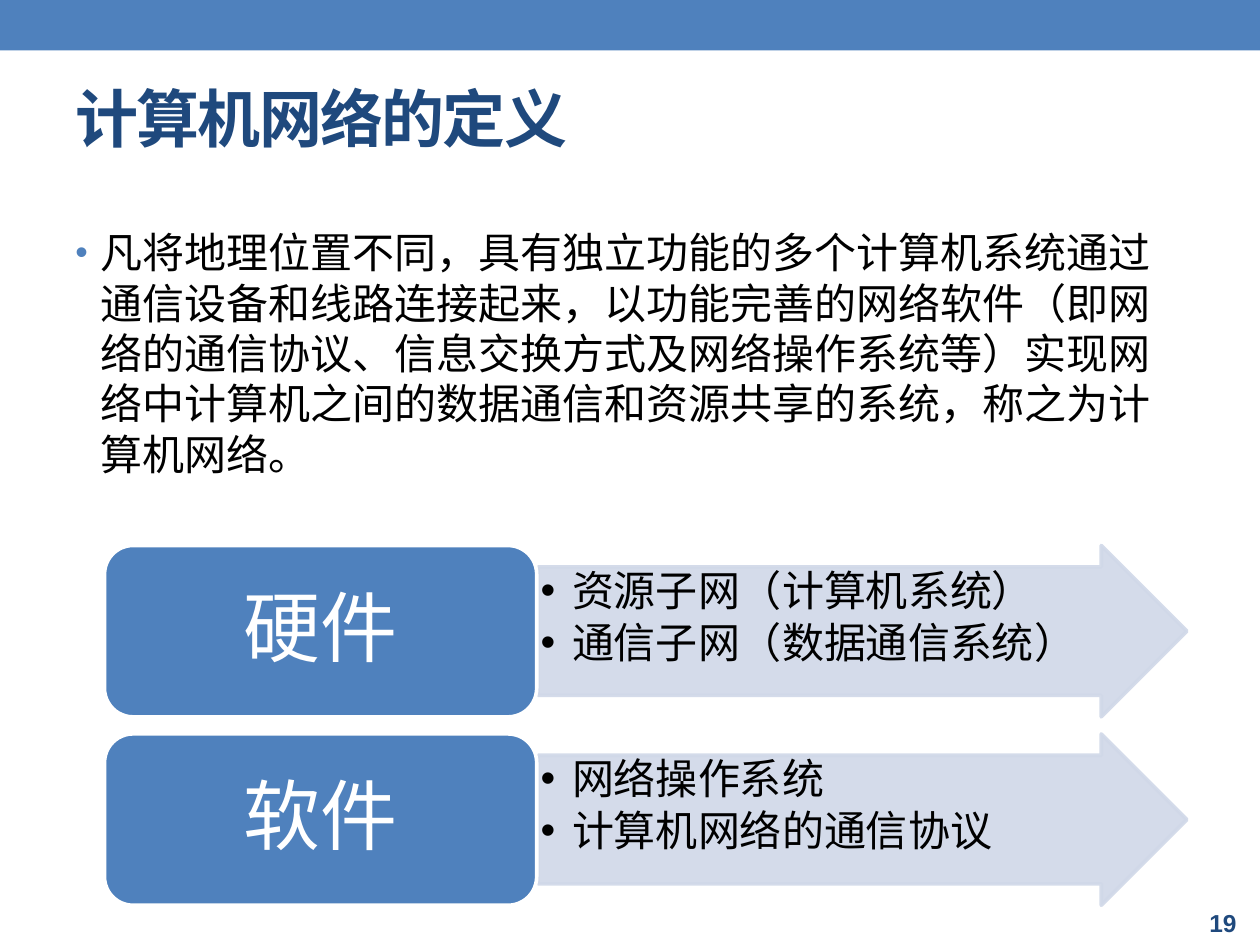
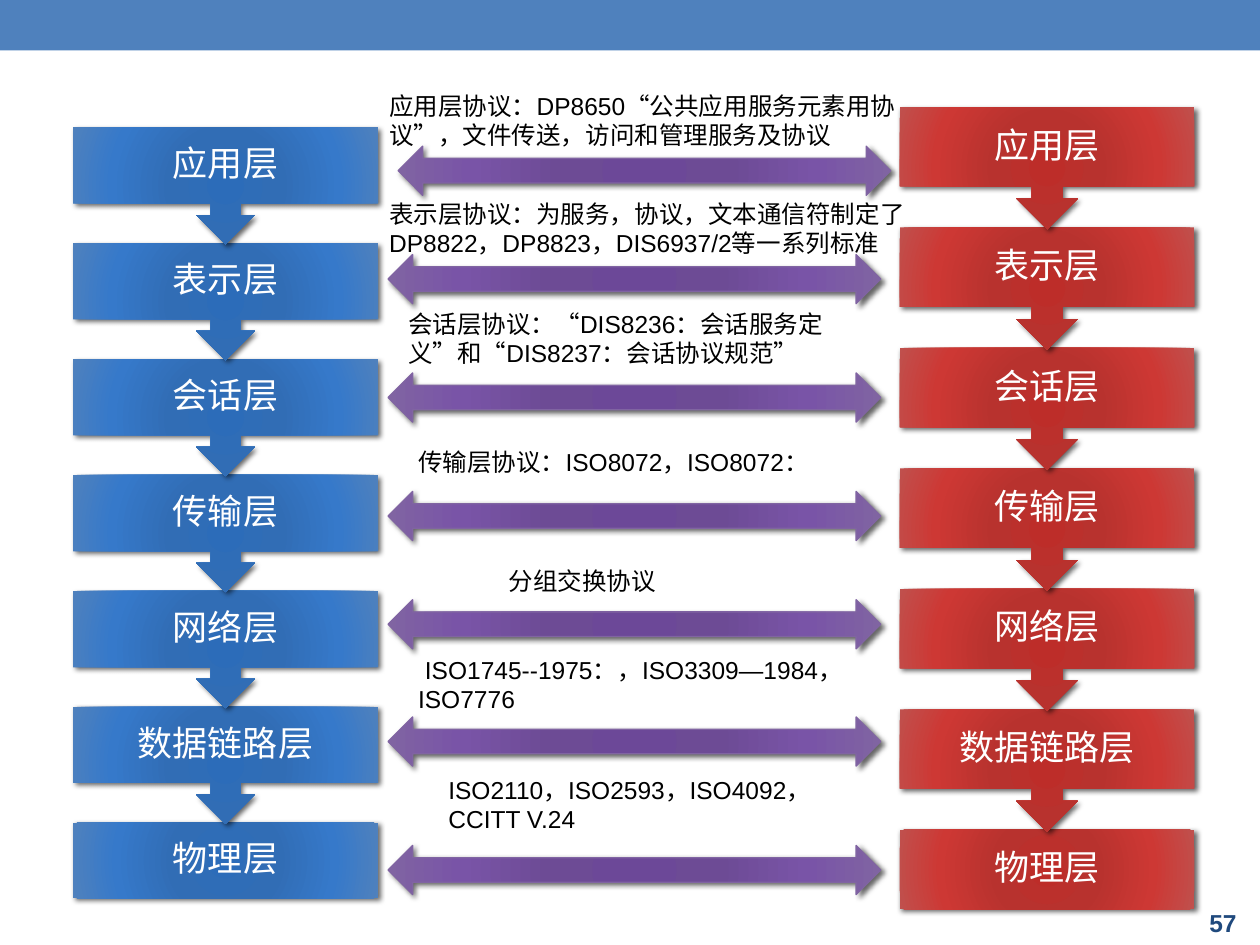
from lxml import etree
from pptx import Presentation
from pptx.dml.color import RGBColor
from pptx.enum import shapes, text
from pptx.oxml import ns
from pptx.util import Emu, Inches, Pt

BLUE = RGBColor(0x4F, 0x81, 0xBD)
NAVY = RGBColor(0x1F, 0x49, 0x7D)
PALE = RGBColor(0xD0, 0xD8, 0xE8)
PURPLE = RGBColor(0x80, 0x64, 0xA2)
WHITE = RGBColor(0xFF, 0xFF, 0xFF)
BLACK = RGBColor(0x00, 0x00, 0x00)

STOPS = (0, 34, 70, 100)
BLUE_GRADIENT = ("2C6CB9", "316DB5", "3679CA", "4F81BD")
RED_GRADIENT = ("BD2D29", "B8322E", "CD3834", "C0504D")
PURPLE_GRADIENT = ("6C4898", "6D4B95", "7954A7", "8064A2")

LATIN, CJK = "Arial", "Noto Sans CJK SC"
MIDDLE, TOP = text.MSO_ANCHOR.MIDDLE, text.MSO_ANCHOR.TOP
CENTER, LEFT = text.PP_ALIGN.CENTER, text.PP_ALIGN.LEFT
KIND = shapes.MSO_SHAPE

presentation = Presentation()
presentation.slide_width, presentation.slide_height = Inches(10), Inches(7.5)

# Grid: 100 columns by 75 rows
COLUMN = presentation.slide_width / 100
ROW = presentation.slide_height / 75


def add_box(slide, kind, box, fill=None, gradient=None, line=None, line_width=0.75):
    """Add a shape (or a text box if kind is None) at a place on the grid."""
    left, top, width, height = box
    place = [Emu(round(n)) for n in
             (left * COLUMN, top * ROW, width * COLUMN, height * ROW)]
    if kind is None:
        return slide.shapes.add_textbox(*place)
    shape = slide.shapes.add_shape(kind, *place)
    shape.shadow.inherit = False
    if line is None:
        shape.line.fill.background()
    else:
        shape.line.color.rgb = line
        shape.line.width = Pt(line_width)
    if fill is not None:
        shape.fill.solid()
        shape.fill.fore_color.rgb = fill
    if gradient:
        shape.fill.background()
        properties = shape._element.spPr
        stops = "".join(f'<a:gs pos="{stop * 1000}"><a:srgbClr val="{color}"/></a:gs>'
                        for stop, color in zip(STOPS, gradient))
        properties.replace(properties.find(ns.qn("a:noFill")), etree.fromstring(
            f'<a:gradFill {ns.nsdecls("a")} rotWithShape="1"><a:gsLst>{stops}</a:gsLst>'
            '<a:path path="circle"><a:fillToRect l="100000" t="100000" r="100000" '
            'b="100000"/></a:path></a:gradFill>'))
        properties.find(ns.qn("a:effectLst")).append(etree.fromstring(
            f'<a:outerShdw {ns.nsdecls("a")} blurRad="38100" dist="25400" dir="2700000" '
            'rotWithShape="0"><a:srgbClr val="000000"><a:alpha val="60000"/>'
            '</a:srgbClr></a:outerShdw>'))
    return shape


def write(shape, lines, size, color, font=LATIN, bold=False, align=LEFT, anchor=TOP,
          inset=(0.1, 0.05), spacing=None, after=0, bullet=None, wrap=True, tracking=0):
    """Write one paragraph per line; bullet is (indent, color, size in percent)."""
    frame = shape.text_frame
    across, down = (Inches(n) for n in inset)
    settings = {"word_wrap": wrap, "vertical_anchor": anchor, "margin_left": across,
                "margin_right": across, "margin_top": down, "margin_bottom": down}
    for name, value in settings.items():
        setattr(frame, name, value)
    for index, line in enumerate(lines):
        paragraph = frame.paragraphs[0] if index == 0 else frame.add_paragraph()
        paragraph.alignment = align
        paragraph.line_spacing = spacing or Pt(round(size * 1.2, 1))
        paragraph.space_after = Pt(after)
        if bullet:
            indent, bullet_color, bullet_size = bullet
            properties = paragraph._p.get_or_add_pPr()
            properties.set("marL", str(Inches(indent)))
            properties.set("indent", str(-Inches(indent)))
            for xml in (f'<a:buClr {{}}><a:srgbClr val="{bullet_color}"/></a:buClr>',
                        f'<a:buSzPct {{}} val="{bullet_size * 1000}"/>',
                        '<a:buFont {} typeface="Arial"/>', '<a:buChar {} char="•"/>'):
                properties.append(etree.fromstring(xml.format(ns.nsdecls("a"))))
        run = paragraph.add_run()
        run.text = line
        for name, value in {"name": font, "size": Pt(size), "bold": bold}.items():
            setattr(run.font, name, value)
        run.font.color.rgb = color
        properties = run._r.get_or_add_rPr()
        properties.set("lang", "zh-CN")
        if tracking:
            properties.set("spc", str(tracking * 100))
        etree.SubElement(properties, ns.qn("a:ea")).set("typeface", CJK)


# Shared band and page number
slides = []
for number in ("19", "57"):
    slide = presentation.slides.add_slide(presentation.slide_layouts[6])
    add_box(slide, KIND.RECTANGLE, (0, 0, 100, 4), fill=BLUE)
    write(add_box(slide, None, (95, 71.4, 5, 3.6)), [number], 14, NAVY,
          bold=True, anchor=MIDDLE)
    slides.append(slide)
definition_slide, layers_slide = slides

# Definition: title and body
write(add_box(definition_slide, None, (5, 5.8, 90, 6.7)), ["计算机网络的定义"], 36, NAVY,
      font=CJK, bold=True, tracking=-1)
write(add_box(definition_slide, None, (5, 17.5, 90, 22)),
      ["凡将地理位置不同，具有独立功能的多个计算机系统通过通信设备和线路连接起来，"
       "以功能完善的网络软件（即网络的通信协议、信息交换方式及网络操作系统等）"
       "实现网络中计算机之间的数据通信和资源共享的系统，称之为计算机网络。"],
      24, BLACK, font=CJK, bullet=(0.2, BLUE, 85))

# Definition: hardware and software rows
parts = [("硬件", ["资源子网（计算机系统）", "通信子网（数据通信系统）"]),
         ("软件", ["网络操作系统", "计算机网络的通信协议"])]
for index, (part, details) in enumerate(parts):
    top = 43.3 + index * 14.95
    arrow = add_box(definition_slide, KIND.RIGHT_ARROW, (42.7, top, 51.5, 13.6),
                    fill=PALE, line=PALE, line_width=2.08)
    arrow.adjustments[0], arrow.adjustments[1] = 0.75, 0.5
    for color in arrow._element.spPr.iter(ns.qn("a:srgbClr")):
        etree.SubElement(color, ns.qn("a:alpha")).set("val", "90000")
    write(add_box(definition_slide, None, (42.7, top + 1.7, 46.4, 10.2)), details, 24, BLACK,
          font=CJK, inset=(0.02, 0.02), spacing=Pt(26), after=3.6,
          bullet=(0.25, BLACK, 100))
    label = add_box(definition_slide, KIND.ROUNDED_RECTANGLE, (8.3, top, 34.3, 13.6),
                    fill=BLUE, line=WHITE, line_width=2.08)
    write(label, [part], 44, WHITE, font=CJK, align=CENTER, anchor=MIDDLE,
          inset=(0.18, 0.09), spacing=0.9)

# Layers: the two stacks, drawn from the bottom layer up
layers = ["应用层", "表示层", "会话层", "传输层", "网络层", "数据链路层", "物理层"]
stacks = [(5.8, 10.1, 24.2, 9.2, 6, 9.3, BLUE_GRADIENT),
          (71.4, 8.5, 23.4, 9.56, 6.3, 9.7, RED_GRADIENT)]
for left, top, width, pitch, box_height, callout_height, gradient in stacks:
    for index, layer in reversed(list(enumerate(layers))):
        is_last = index == len(layers) - 1
        kind = KIND.RECTANGLE if is_last else KIND.DOWN_ARROW_CALLOUT
        height = box_height if is_last else callout_height
        shape = add_box(layers_slide, kind, (left, top + index * pitch, width, height),
                        gradient=gradient)
        write(shape, [layer], 20, WHITE, align=CENTER, anchor=MIDDLE,
              inset=(0.16, 0.16), spacing=0.9)

# Layers: protocols as (arrow left, arrow top, label left, label top, label width, lines)
protocols = [
    (31.6, 11.6, 29.9, 6.7, 45.5,
     ["应用层协议：DP8650“公共应用服务元素用协议”，文件传送，访问和管理服务及协议"]),
    (30.8, 20.2, 29.9, 15.3, 43.3,
     ["表示层协议：为服务，协议，文本通信符制定了DP8822，DP8823，DIS6937/2等一系列标准"]),
    (30.8, 29.6, 31.4, 24, 39.2,
     ["会话层协议：“DIS8236：会话服务定义”和“DIS8237：会话协议规范”"]),
    (30.8, 39, 32.2, 35, 36.2, ["传输层协议：ISO8072，ISO8072："]),
    (30.8, 47.6, 39.4, 44.4, 13.7, ["分组交换协议"]),
    (30.8, 56.9, 32.2, 51.5, 38.4, [" ISO1745--1975：，ISO3309—1984，", "ISO7776"]),
    (30.8, 67.1, 34.6, 61, 34.5, ["ISO2110，ISO2593，ISO4092，", "CCITT V.24"]),
]
for arrow_left, arrow_top, left, top, width, lines in protocols:
    add_box(layers_slide, KIND.LEFT_RIGHT_ARROW, (arrow_left, arrow_top, 39.1, 3.9),
            gradient=PURPLE_GRADIENT, line=PURPLE)
    label = add_box(layers_slide, None, (left, top, width, 5.7))
    write(label, lines, 14, BLACK, wrap=lines != ["分组交换协议"])

presentation.save("out.pptx")
